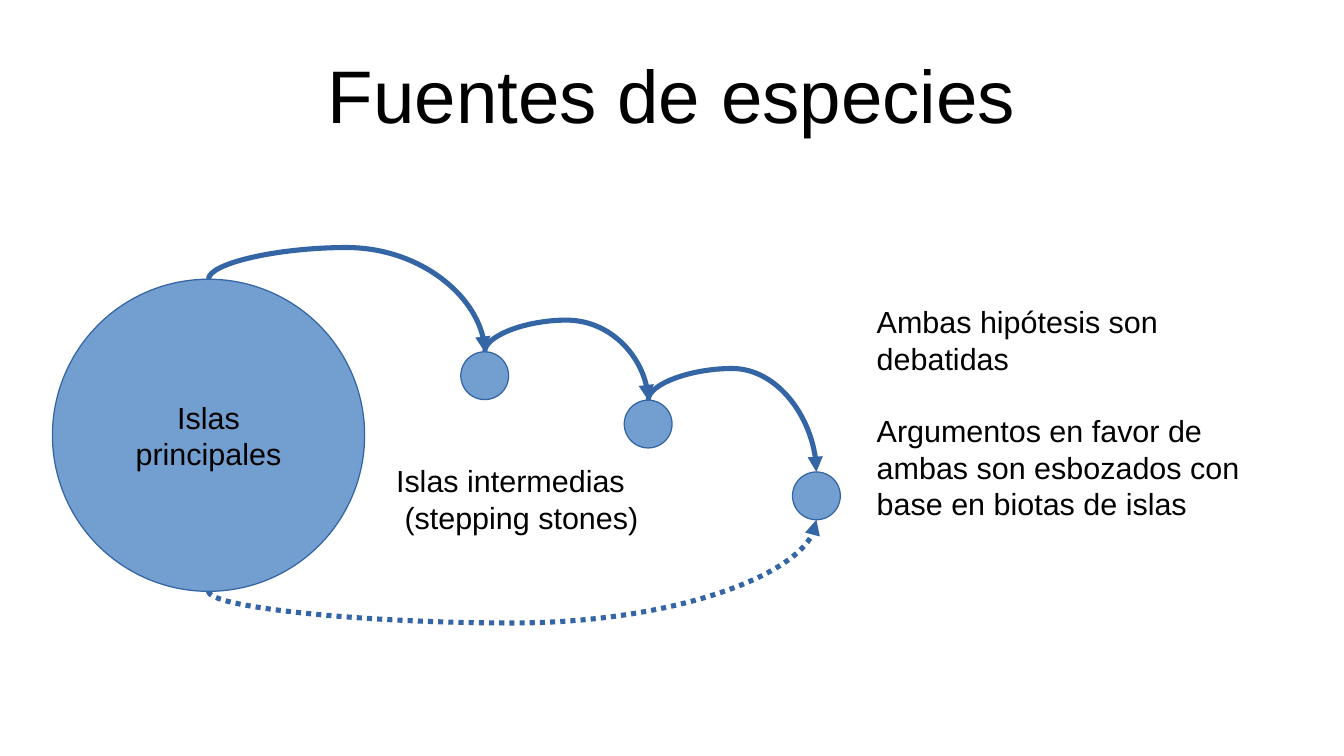
from lxml.etree import SubElement
from pptx import Presentation
from pptx.dml.color import RGBColor
from pptx.enum.dml import MSO_LINE
from pptx.enum.shapes import MSO_CONNECTOR, MSO_SHAPE
from pptx.enum.text import MSO_ANCHOR, PP_ALIGN
from pptx.oxml.ns import qn
from pptx.util import Inches, Pt

COLORS = {"island": "729FCF", "edge": "3465A4", "text": "000000"}
ARC_LIFT = Inches(0.26)


class IslandSlide:
    """Draws on one slide; positions are percentages of its width and height."""

    font_name = "Arial"
    body_size = 18

    def __init__(self, deck):
        self.width, self.height = deck.slide_width, deck.slide_height
        self.shapes = deck.slides.add_slide(deck.slide_layouts[6]).shapes

    def x(self, percent):
        return round(self.width * percent / 100)

    def y(self, percent):
        return round(self.height * percent / 100)

    def color(self, name):
        return RGBColor.from_string(COLORS[name])

    def fill_frame(self, frame, lines, size=body_size, align=PP_ALIGN.LEFT, gap=0, indent=0):
        """Set the text of a frame; gap and indent (points) apply after the first line."""
        frame.word_wrap = True
        for index, line in enumerate(lines):
            paragraph = frame.add_paragraph() if index else frame.paragraphs[0]
            paragraph.text = line
            paragraph.alignment = align
            if index and gap:
                paragraph.space_before = Pt(gap)
            if index and indent:
                paragraph._p.get_or_add_pPr().set("marL", str(Pt(indent)))
            paragraph.font.name = self.font_name
            paragraph.font.size = Pt(size)
            paragraph.font.color.rgb = self.color("text")

    def text(self, left, top, width, height, lines, **style):
        box = self.shapes.add_textbox(self.x(left), self.y(top), self.x(width), self.y(height))
        self.fill_frame(box.text_frame, lines, **style)
        return box.text_frame

    def title(self, wording):
        frame = self.text(5, 4, 90, 16.8, [wording], size=44, align=PP_ALIGN.CENTER)
        frame.vertical_anchor = MSO_ANCHOR.MIDDLE
        frame.margin_left = frame.margin_right = frame.margin_top = frame.margin_bottom = 0

    def island(self, center_x, center_y, diameter, label=None):
        side = self.x(diameter)
        circle = self.shapes.add_shape(
            MSO_SHAPE.OVAL, self.x(center_x) - side // 2, self.y(center_y) - side // 2, side, side)
        circle.shadow.inherit = False
        circle.fill.solid()
        circle.fill.fore_color.rgb = self.color("island")
        circle.line.color.rgb = self.color("edge")
        circle.line.width = Pt(0)
        if label:
            circle.text_frame.vertical_anchor = MSO_ANCHOR.MIDDLE
            self.fill_frame(circle.text_frame, [label], align=PP_ALIGN.CENTER)
        return circle

    def migration(self, source, target, below=False):
        """Arc from island to island, over their tops or under their bottoms."""
        start_x, end_x = (i.left + i.width // 2 for i in (source, target))
        start_y, end_y = (i.top + (i.height if below else 0) for i in (source, target))
        span, drop = end_x - start_x, abs(end_y - start_y)
        # The frame is turned a quarter, so its width is the drop and its height the span.
        left = (start_x + end_x - drop) // 2
        top = (start_y + end_y - span) // 2
        first_y, last_y = (top + span, top) if below else (top, top + span)
        arc = self.shapes.add_connector(MSO_CONNECTOR.CURVE, left + drop, first_y, left, last_y)
        arc.line.color.rgb = self.color("edge")
        arc.line.width = Pt(3)
        if below:
            arc.line.dash_style = MSO_LINE.ROUND_DOT
        properties = arc._element.spPr
        quarter_turns = 1 if below else 3
        properties.find(qn("a:xfrm")).set("rot", str(quarter_turns * 5400000))
        adjustments = properties.find(qn("a:prstGeom")).get_or_add_avLst()
        bulge = round(-100000 * ARC_LIFT / drop)
        SubElement(adjustments, qn("a:gd"), name="adj1", fmla=f"val {bulge}")
        SubElement(properties.find(qn("a:ln")), qn("a:tailEnd"), type="triangle")
        SubElement(properties, qn("a:effectLst"))


def main():
    deck = Presentation()
    deck.slide_width, deck.slide_height = Inches(11.02), Inches(6.2)
    slide = IslandSlide(deck)

    slide.title("Fuentes de especies")
    mainland = slide.island(15.52, 57.58, 23.23, "Islas principales")
    stepping_stones = [slide.island(center_x, center_y, 3.56)
                       for center_x, center_y in ((36.07, 49.7), (48.23, 56.1), (60.75, 65.6))]
    route = [mainland, *stepping_stones]
    for source, target in zip(route, stepping_stones):
        slide.migration(source, target)
    slide.migration(mainland, route[-1], below=True)

    slide.text(28.58, 60.32, 39.3, 10.65, ["Islas intermedias", "(stepping stones)"], indent=5)
    slide.text(64.34, 39.35, 30.4, 28.7, [
        "Ambas hipótesis son debatidas",
        "Argumentos en favor de ambas son esbozados con base en biotas de islas",
    ], gap=21)
    deck.save("out.pptx")


if __name__ == "__main__":
    main()
